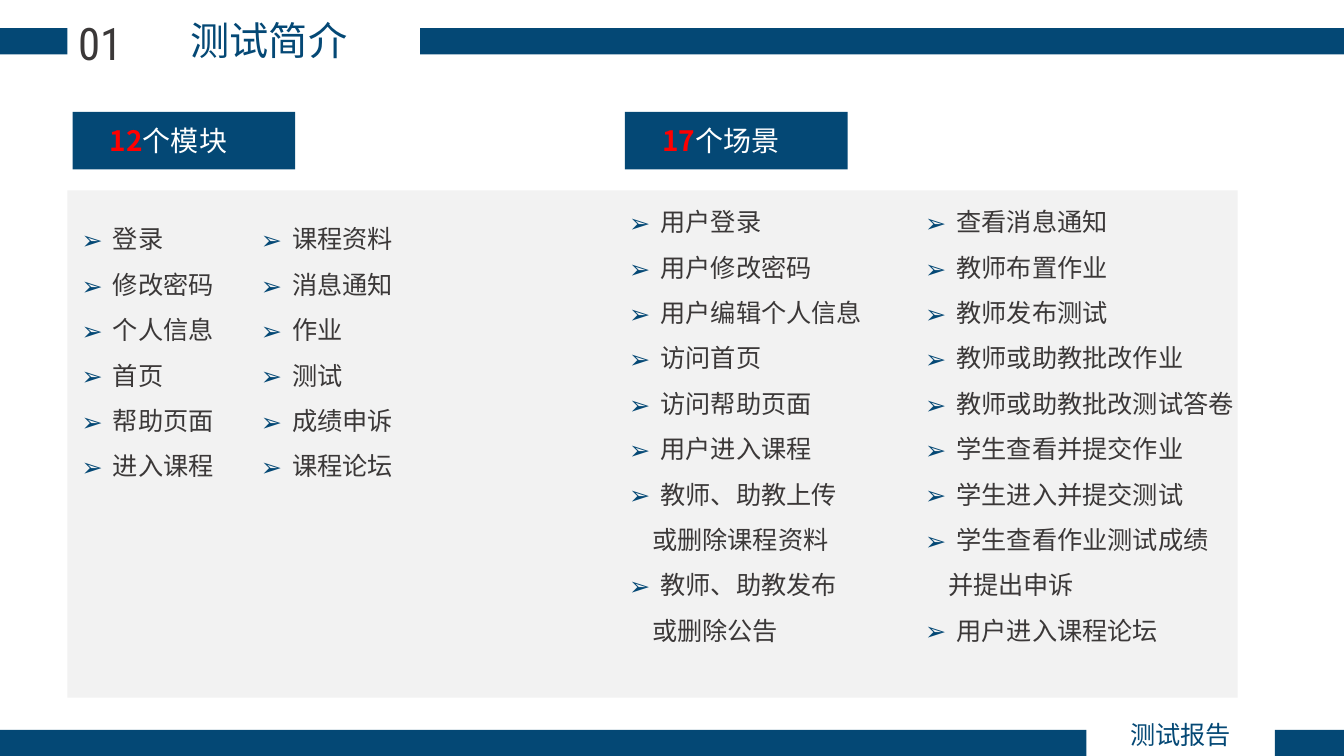
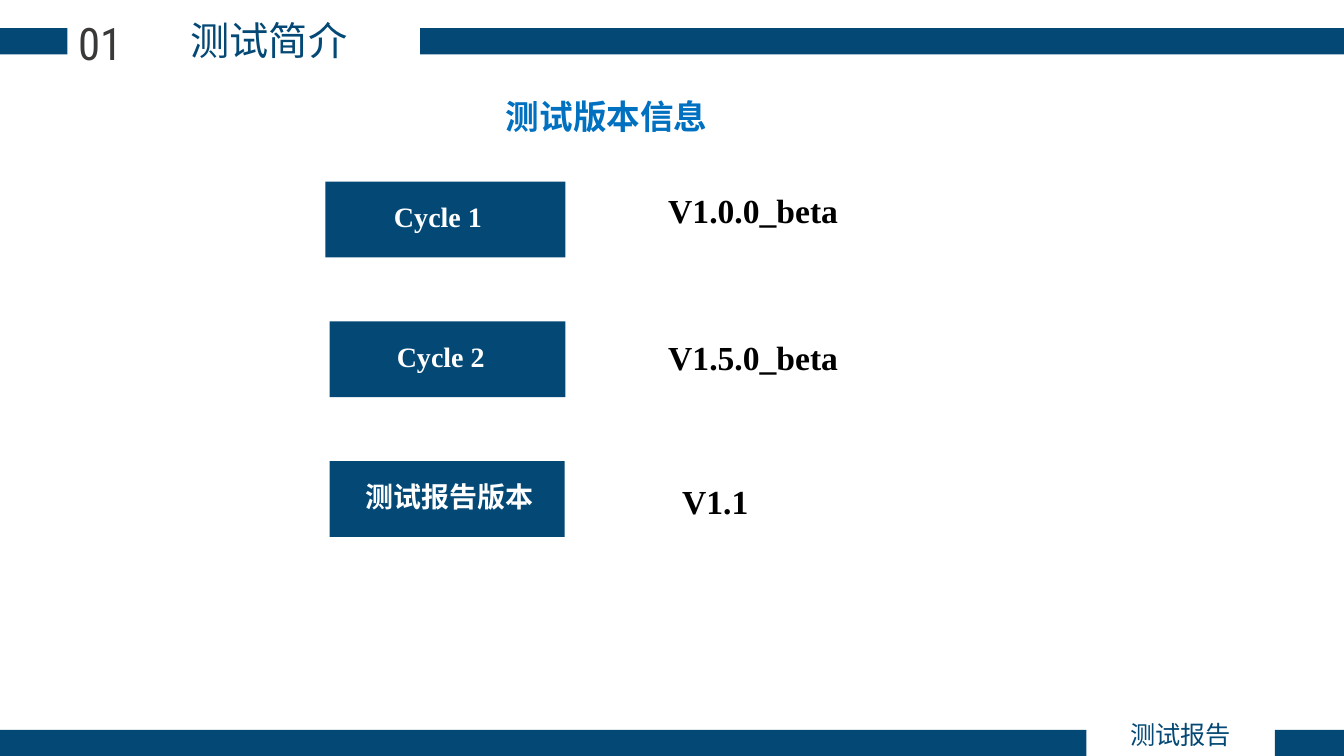
from dataclasses import dataclass
from typing import NamedTuple

from lxml import etree
from pptx import Presentation
from pptx.dml.color import RGBColor
from pptx.enum.shapes import MSO_SHAPE
from pptx.enum.text import MSO_ANCHOR, MSO_AUTO_SIZE, PP_ALIGN
from pptx.oxml.ns import qn
from pptx.shapes.base import BaseShape
from pptx.slide import Slide
from pptx.text.text import TextFrame
from pptx.util import Cm, Pt

RECTANGLE = MSO_SHAPE.RECTANGLE
MIDDLE, TOP = MSO_ANCHOR.MIDDLE, MSO_ANCHOR.TOP
LEFT, CENTER, JUSTIFY = PP_ALIGN.LEFT, PP_ALIGN.CENTER, PP_ALIGN.JUSTIFY
NO_AUTOFIT = MSO_AUTO_SIZE.NONE
COMPARISON_LAYOUT, TITLE_ONLY_LAYOUT = 4, 5
CONTINUATION = "\t"  # marks a list line that carries on the item above


class Style(NamedTuple):
    size: float
    color: str
    font: str = "Noto Sans CJK SC"
    bold: bool = False


@dataclass(frozen=True)
class Theme:
    navy: str = "044875"
    panel: str = "F2F2F2"
    east_asian: str = "Noto Sans CJK SC"
    title: Style = Style(28, "044875")
    number: Style = Style(32, "3B3838", "Roboto Condensed")
    footer: Style = Style(18, "044875")
    item: Style = Style(18, "3B3838")
    count: Style = Style(20, "FF0000", bold=True)
    label: Style = Style(20, "FFFFFF")
    version_label: Style = Style(20, "FFFFFF", "Times New Roman", True)
    version: Style = Style(24, "000000", "Times New Roman", True)
    heading: Style = Style(24, "0070C0", bold=True)
    item_pitch: float = 32.4


THEME = Theme()


class Area(NamedTuple):
    """A place on the page, in centimetres."""
    left: float
    top: float
    width: float
    height: float


class Span(NamedTuple):
    text: str
    style: Style


class ItemList(NamedTuple):
    left: float
    top: float
    width: float
    items: list[str]


class CountLabel(NamedTuple):
    left: float
    count: str
    text: str


class VersionRow(NamedTuple):
    left: float
    width: float
    inset: float
    label: str
    version_left: float
    version_top: float
    version: str


BANDS = [
    Area(0, 0.71, 1.7, 0.66),
    Area(10.59, 0.71, 23.28, 0.66),
    Area(0, 18.39, 27.38, 0.66),
    Area(32.13, 18.39, 1.74, 0.66),
]

COUNT_LABELS = [
    CountLabel(1.83, "12", "个模块"),
    CountLabel(15.75, "17", "个场景"),
]

ITEM_LISTS = [
    ItemList(1.8, 5.13, 5.56, [
        "登录", "修改密码", "个人信息", "首页", "帮助页面", "进入课程"]),
    ItemList(6.32, 5.13, 5.56, [
        "课程资料", "消息通知", "作业", "测试", "成绩申诉", "课程论坛"]),
    ItemList(15.6, 4.7, 6.63, [
        "用户登录", "用户修改密码", "用户编辑个人信息", "访问首页",
        "访问帮助页面", "用户进入课程", "教师、助教上传",
        CONTINUATION + "或删除课程资料", "教师、助教发布",
        CONTINUATION + "或删除公告"]),
    ItemList(23.06, 4.7, 8.61, [
        "查看消息通知", "教师布置作业", "教师发布测试", "教师或助教批改作业",
        "教师或助教批改测试答卷", "学生查看并提交作业", "学生进入并提交测试",
        "学生查看作业测试成绩", CONTINUATION + "并提出申诉",
        "用户进入课程论坛"]),
]

VERSION_ROWS = [
    VersionRow(8.2, 6.05, 1.73, "Cycle 1", 16.59, 4.65, "V1.0.0_beta"),
    VersionRow(8.31, 5.94, 1.69, "Cycle 2", 16.59, 8.36, "V1.5.0_beta"),
    VersionRow(8.31, 5.92, 0.89, "测试报告版本", 16.94, 11.99, "V1.1"),
]


def place(shape: BaseShape, area: Area) -> None:
    shape.left, shape.top = Cm(area.left), Cm(area.top)
    shape.width, shape.height = Cm(area.width), Cm(area.height)


def add_span(para, span: Span) -> None:
    run = para.add_run()
    run.text = span.text
    font = run.font
    font.size, font.bold = Pt(span.style.size), span.style.bold
    font.color.rgb = RGBColor.from_string(span.style.color)
    font.name = span.style.font
    east_asian = etree.SubElement(font._element, qn("a:ea"))
    east_asian.set("typeface", THEME.east_asian)


def write_line(frame: TextFrame, spans: list[Span], align=LEFT) -> None:
    """Fill a frame with one vertically centred line."""
    frame.word_wrap = True
    frame.auto_size = NO_AUTOFIT
    frame.vertical_anchor = MIDDLE
    para = frame.paragraphs[0]
    para.alignment = align
    for span in spans:
        add_span(para, span)


def add_text(page: Slide, area: Area, span: Span, align=LEFT) -> None:
    box = page.shapes.add_textbox(*(Cm(length) for length in area))
    write_line(box.text_frame, [span], align)


def add_block(page: Slide, area: Area, color: str) -> BaseShape:
    block = page.shapes.add_shape(RECTANGLE, *(Cm(length) for length in area))
    block.shadow.inherit = False
    block.fill.solid()
    block.fill.fore_color.rgb = RGBColor.from_string(color)
    block.line.fill.background()
    return block


def add_label(page: Slide, area: Area, spans: list[Span],
              inset: float, bottom: float = 0.13) -> None:
    frame = add_block(page, area, THEME.navy).text_frame
    frame.margin_left, frame.margin_right = Cm(inset), Cm(0)
    frame.margin_bottom = Cm(bottom)
    write_line(frame, spans)


def set_bullet(para, bulleted: bool) -> None:
    properties = para._p.get_or_add_pPr()
    margin = Cm(0.79) if bulleted else Cm(0.58)
    properties.set("marL", str(margin))
    properties.set("indent", str(-margin if bulleted else 0))
    if not bulleted:
        etree.SubElement(properties, qn("a:buNone"))
        return
    color = etree.SubElement(properties, qn("a:buClr"))
    etree.SubElement(color, qn("a:srgbClr")).set("val", THEME.navy)
    font = etree.SubElement(properties, qn("a:buFont"))
    font.set("typeface", THEME.east_asian)
    etree.SubElement(properties, qn("a:buChar")).set("char", "➢")


def fill_list(body: BaseShape, item_list: ItemList) -> None:
    height = len(item_list.items) * Pt(THEME.item_pitch).cm + 0.26
    place(body, Area(item_list.left, item_list.top, item_list.width, height))
    frame = body.text_frame
    frame.word_wrap = True
    frame.auto_size = NO_AUTOFIT
    frame.vertical_anchor = TOP
    for index, item in enumerate(item_list.items):
        para = frame.add_paragraph() if index else frame.paragraphs[0]
        set_bullet(para, not item.startswith(CONTINUATION))
        para.alignment = JUSTIFY
        para.line_spacing = Pt(THEME.item_pitch)
        para.space_before = para.space_after = Pt(0)
        add_span(para, Span(item.removeprefix(CONTINUATION), THEME.item))


def add_page(deck, layout: int) -> Slide:
    """Add a page with the bands, section title and footer all pages share."""
    page = deck.slides.add_slide(deck.slide_layouts[layout])
    for band in BANDS:
        add_block(page, band, THEME.navy)
    title = page.shapes.title
    place(title, Area(2.21, 0.28, 9.14, 1.45))
    write_line(title.text_frame, [Span("测试简介", THEME.title)], CENTER)
    add_text(page, Area(1.52, 0.25, 2.01, 1.63), Span("01", THEME.number), CENTER)
    add_text(page, Area(26.04, 18, 7.42, 1.02), Span("测试报告", THEME.footer), CENTER)
    return page


def build_scope_page(deck) -> None:
    page = add_page(deck, COMPARISON_LAYOUT)
    panel = add_block(page, Area(1.7, 4.8, 29.49, 12.78), THEME.panel)
    page.shapes.title.element.addprevious(panel.element)
    for label in COUNT_LABELS:
        spans = [Span(label.count, THEME.count), Span(label.text, THEME.label)]
        add_label(page, Area(label.left, 2.82, 5.61, 1.45), spans, 0.94)
    for index, item_list in enumerate(ITEM_LISTS, start=1):
        fill_list(page.placeholders[index], item_list)


def build_version_page(deck) -> None:
    page = add_page(deck, TITLE_ONLY_LAYOUT)
    add_text(page, Area(12.5, 2.29, 8.15, 1.27), Span("测试版本信息", THEME.heading))
    for index, row in enumerate(VERSION_ROWS):
        area = Area(row.left, 4.58 + index * 3.52, row.width, 1.91)
        add_label(page, area, [Span(row.label, THEME.version_label)], row.inset, 0.28)
        add_text(page, Area(row.version_left, row.version_top, 5.38, 1.27),
                 Span(row.version, THEME.version))


def main() -> None:
    deck = Presentation()
    deck.slide_width, deck.slide_height = Cm(33.87), Cm(19.05)
    build_scope_page(deck)
    build_version_page(deck)
    deck.save("out.pptx")


if __name__ == "__main__":
    main()
